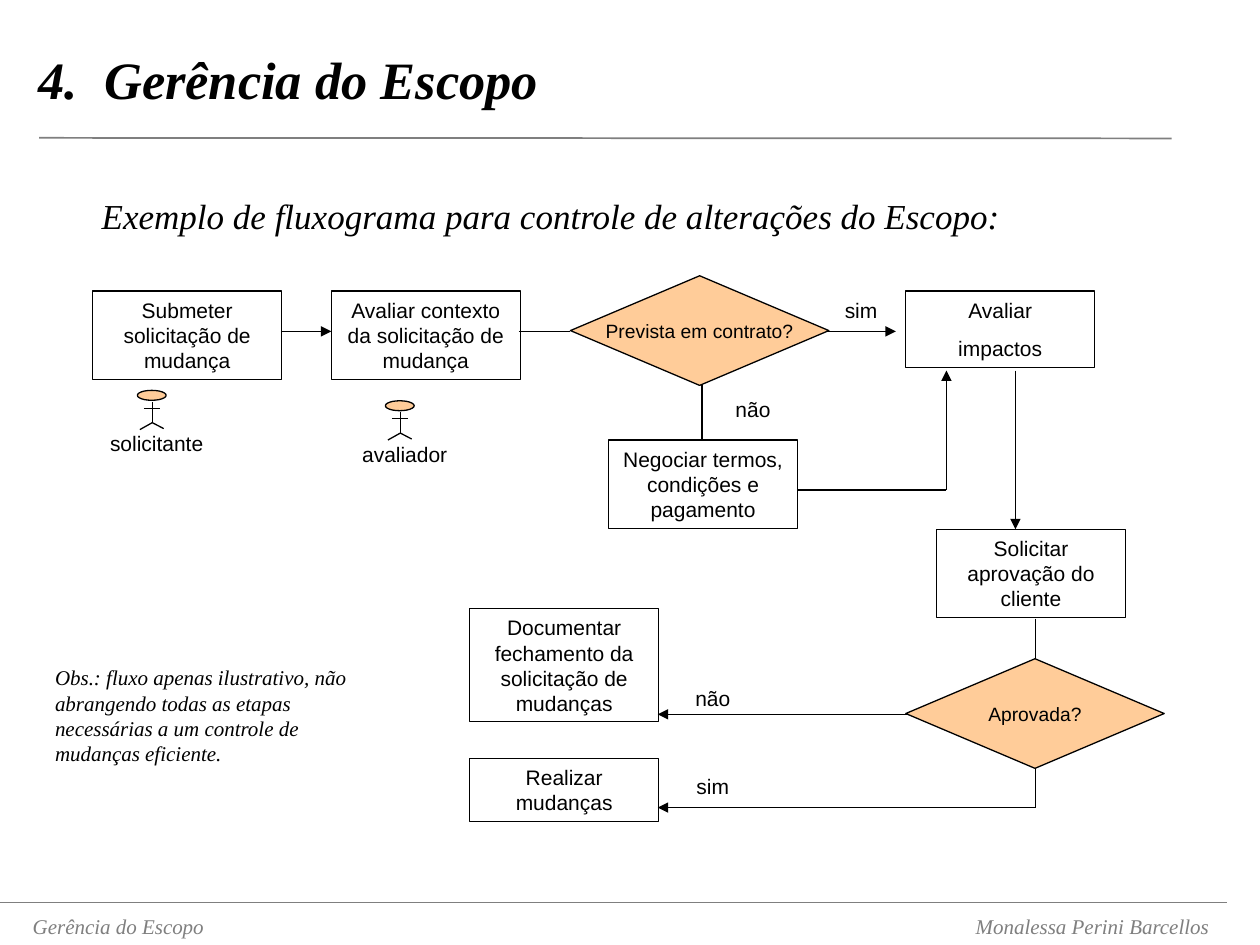
import pptx
import pptx.util
import pptx.dml.color
import pptx.enum.shapes
import pptx.enum.text
from lxml import etree
from pptx.oxml.ns import qn

Cm = pptx.util.Cm
Pt = pptx.util.Pt
RGB = pptx.dml.color.RGBColor
Kind = pptx.enum.shapes.MSO_SHAPE
Align = pptx.enum.text.PP_ALIGN
Anchor = pptx.enum.text.MSO_ANCHOR

BLACK = RGB(0x00, 0x00, 0x00)
GRAY = RGB(0x7F, 0x7F, 0x7F)
PEACH = RGB(0xFF, 0xCC, 0x99)
SANS = "Arial"
SERIF = "Times New Roman"

# Process steps: left, top, height, text
WIDE = 3.81
STEPS = [
    (1.87, 5.87, 1.78, "Submeter solicitação de mudança"),
    (6.68, 5.87, 1.78, "Avaliar contexto da solicitação de mudança"),
    (18.26, 5.87, 1.54, "Avaliar\nimpactos"),
    (12.27, 8.87, 1.78, "Negociar termos, condições e pagamento"),
    (18.88, 10.67, 1.78, "Solicitar aprovação do cliente"),
    (9.47, 12.27, 2.28, "Documentar fechamento da solicitação de mudanças"),
    (9.47, 15.29, 1.27, "Realizar mudanças"),
]

# Decisions: left, top, text
TESTS = [
    (11.5, 5.56, "Prevista em contrato?"),
    (18.26, 13.28, "Aprovada?"),
]

# Actors: left and top of the head, role
ACTORS = [
    (2.77, 7.87, "solicitante"),
    (7.77, 8.08, "avaliador"),
]

# Actor limbs, measured from the head
LIMBS = [
    (0.3, 0.23, 0.3, 0.65),
    (0.13, 0.36, 0.46, 0.36),
    (0.3, 0.65, 0.05, 0.79),
    (0.3, 0.65, 0.53, 0.77),
]

# Flow lines: start, end, arrowhead
FLOWS = [
    (5.66, 6.68, 6.68, 6.68, True),
    (10.46, 6.68, 11.5, 6.68, False),
    (16.66, 6.68, 18.06, 6.68, True),
    (14.15, 7.67, 14.15, 8.87, False),
    (16.08, 9.88, 19.08, 9.88, False),
    (19.08, 9.88, 19.08, 7.47, True),
    (20.47, 7.47, 20.47, 10.67, True),
    (20.88, 12.47, 20.88, 13.28, False),
    (20.88, 15.47, 20.88, 16.28, False),
    (20.88, 16.28, 13.26, 16.28, True),
    (18.29, 14.4, 13.26, 14.4, True),
]

# Answers on the flow lines: left, top, text
MARKS = [
    (16.66, 5.87, "sim"),
    (14.48, 7.87, "não"),
    (13.67, 13.69, "não"),
    (13.67, 15.47, "sim"),
]


def write(frame, text, size, face=SANS, color=BLACK, align=Align.CENTER,
          anchor=Anchor.TOP, bold=False, italic=False, wrap=True):
    frame.word_wrap = wrap
    frame.vertical_anchor = anchor
    for n, line in enumerate(text.split("\n")):
        para = frame.add_paragraph() if n else frame.paragraphs[0]
        para.text = line
        para.alignment = align
        if n:
            para.space_before = Pt(7.5)
        font = para.font
        font.name, font.size = face, Pt(size)
        font.bold, font.italic = bold, italic
        font.color.rgb = color


def label(slide, left, top, width, height, text, size=12, **style):
    box = slide.shapes.add_textbox(Cm(left), Cm(top), Cm(width), Cm(height))
    write(box.text_frame, text, size, **style)
    return box.text_frame.paragraphs[0]


def shape(slide, kind, left, top, width, height, fill=None):
    item = slide.shapes.add_shape(kind, Cm(left), Cm(top), Cm(width), Cm(height))
    item.shadow.inherit = False
    if fill is None:
        item.fill.background()
    else:
        item.fill.solid()
        item.fill.fore_color.rgb = fill
    item.line.color.rgb = BLACK
    item.line.width = Pt(0.75)
    return item


def line(slide, x1, y1, x2, y2, arrow=False, color=BLACK, width=0.75):
    link = slide.shapes.add_connector(
        pptx.enum.shapes.MSO_CONNECTOR.STRAIGHT, Cm(x1), Cm(y1), Cm(x2), Cm(y2))
    link.line.color.rgb = color
    link.line.width = Pt(width)
    if arrow:
        etree.SubElement(link.line._get_or_add_ln(), qn("a:tailEnd"), type="triangle")
    etree.SubElement(link._element.spPr, qn("a:effectLst"))


def step(slide, left, top, height, text):
    box = shape(slide, Kind.RECTANGLE, left, top, WIDE, height)
    write(box.text_frame, text, 12)


def test(slide, left, top, text):
    box = shape(slide, Kind.DIAMOND, left, top, 5.21, 2.21, PEACH)
    write(box.text_frame, text, 11, anchor=Anchor.MIDDLE, wrap=False)


def actor(slide, left, top, role):
    shape(slide, Kind.OVAL, left, top, 0.58, 0.2, PEACH)
    for x1, y1, x2, y2 in LIMBS:
        line(slide, left + x1, top + y1, left + x2, top + y2)
    label(slide, left - 1.5, top + 0.69, 3.78, 0.76, role)


def footer(slide):
    line(slide, 0, 18.19, 24.74, 18.19, color=GRAY)
    para = label(slide, 0.41, 18.29, 24.38, 0.76,
                 "Gerência do Escopo\tMonalessa Perini Barcellos",
                 face=SERIF, color=GRAY, align=Align.LEFT, italic=True)
    # Right tab for the author
    tabs = etree.Element(qn("a:tabLst"))
    etree.SubElement(tabs, qn("a:tab"), pos=str(Cm(23.72)), algn="r")
    para._p.get_or_add_pPr().insert(0, tabs)


def main():
    deck = pptx.Presentation()
    deck.slide_width, deck.slide_height = Cm(25.4), Cm(19.05)
    slide = deck.slides.add_slide(deck.slide_layouts[6])

    # Heading
    label(slide, 0.53, 0, 25.2, 3.18, "4.  Gerência do Escopo", 30, face=SERIF,
          align=Align.LEFT, anchor=Anchor.MIDDLE, bold=True, italic=True)
    line(slide, 0.79, 2.78, 23.62, 2.79, color=GRAY, width=1)
    intro = label(slide, 1.8, 3.38, 22.45, 1.52,
                  "Exemplo de fluxograma para controle de alterações do Escopo:",
                  20, face=SERIF, align=Align.LEFT, italic=True)
    intro.line_spacing = 1.5

    # Flowchart
    for flow in FLOWS:
        line(slide, *flow)
    for item in STEPS:
        step(slide, *item)
    for item in TESTS:
        test(slide, *item)
    for item in ACTORS:
        actor(slide, *item)
    for left, top, text in MARKS:
        label(slide, left, top, 1.4, 0.76, text)

    # Remark and footer
    label(slide, 0.86, 13.28, 6.4, 2.29,
          "Obs.: fluxo apenas ilustrativo, não abrangendo todas as etapas "
          "necessárias a um controle de mudanças eficiente.",
          face=SERIF, align=Align.LEFT, italic=True)
    footer(slide)

    deck.save("out.pptx")


if __name__ == "__main__":
    main()
